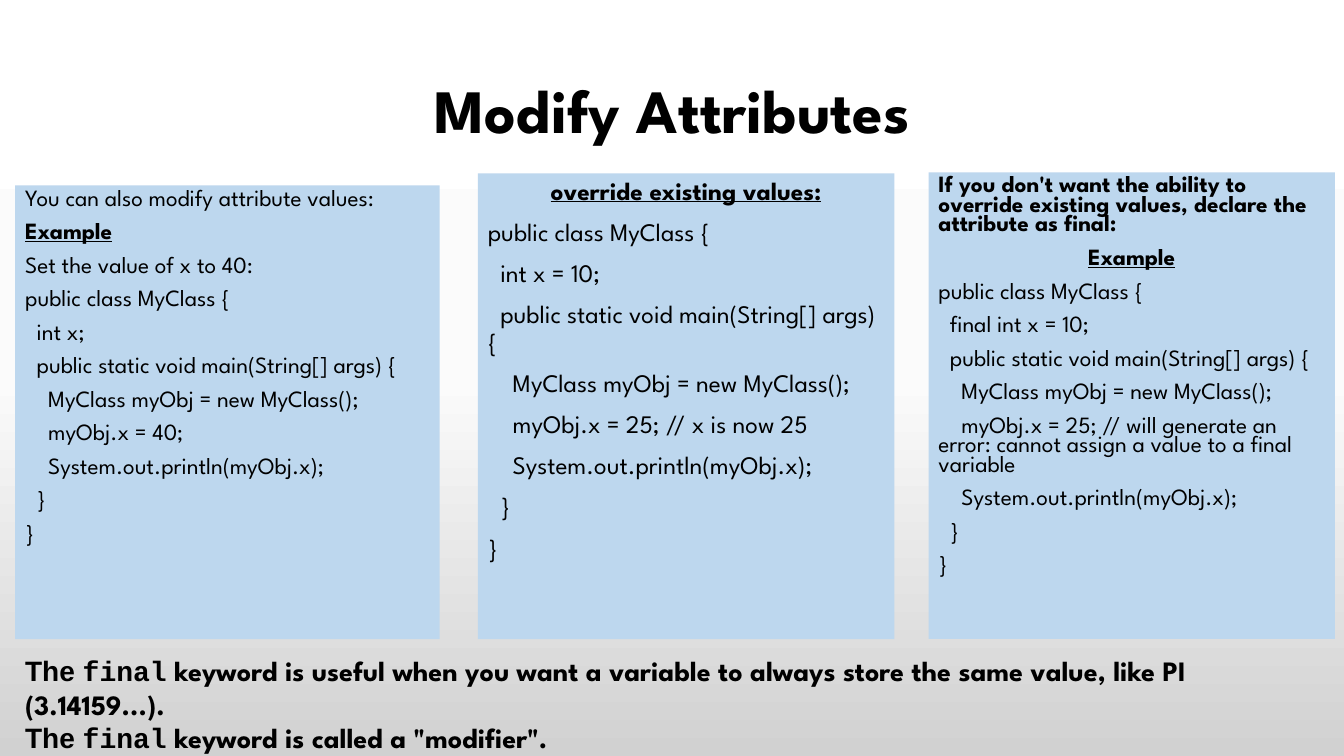
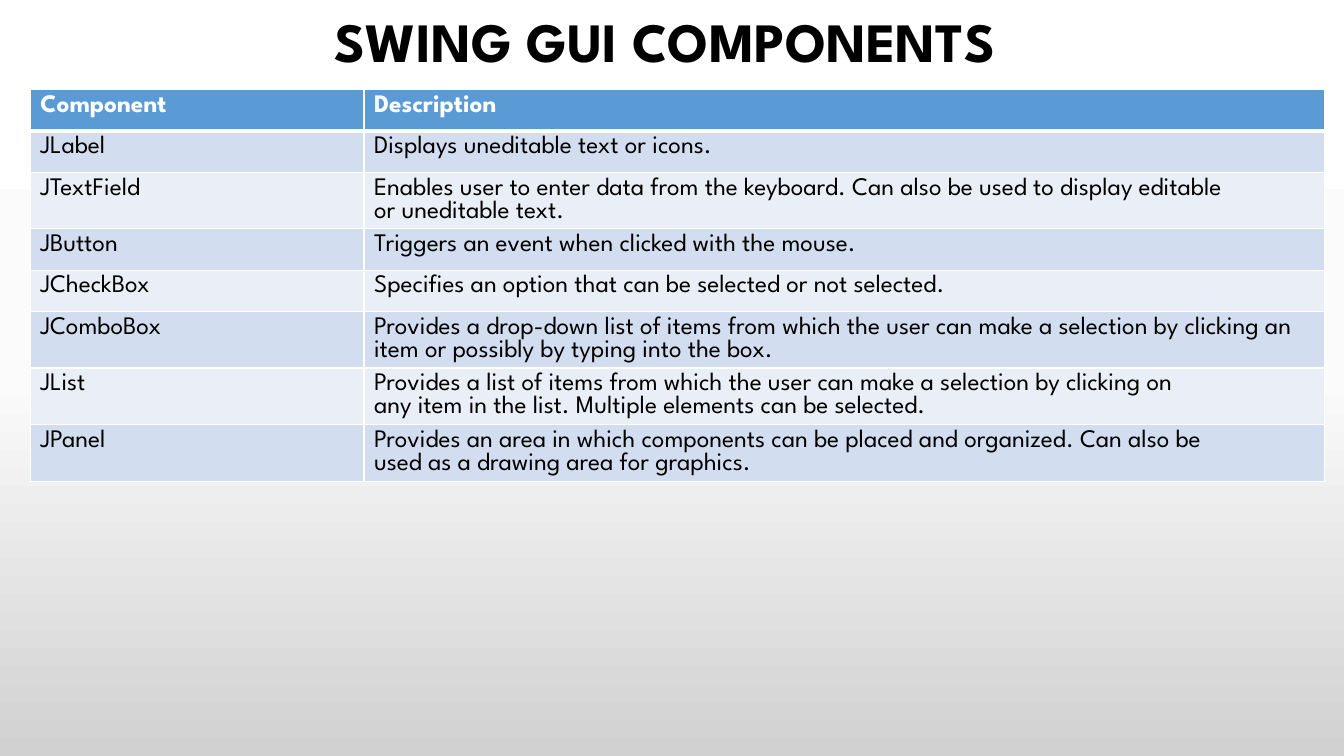
import copy

import lxml.etree
import pptx
import pptx.dml.color
import pptx.enum.text
import pptx.oxml.ns
import pptx.util

FACE = "League Spartan"
BLACK = "000000"
WHITE = "FFFFFF"
PANEL = "BDD7EE"
HEAD = "5B9BD5"
BANDS = ["D2DEEF", "EAEFF7"]
STOPS = [(0, WHITE), (0.5, "FBFBFB"), (1, "D1D1D1")]
FLOOR = 634
CENTER = pptx.enum.text.PP_ALIGN.CENTER
MIDDLE = pptx.enum.text.MSO_ANCHOR.MIDDLE
FIT = pptx.enum.text.MSO_AUTO_SIZE

COMPONENTS = [
    ("Component", "Description"),
    ("JLabel", "Displays uneditable text or icons."),
    ("JTextField", "Enables user to enter data from the keyboard. Can also be used to display editable\n"
                   "or uneditable text."),
    ("JButton", "Triggers an event when clicked with the mouse."),
    ("JCheckBox", "Specifies an option that can be selected or not selected."),
    ("JComboBox", "Provides a drop-down list of items from which the user can make a selection "
                  "by clicking an item or possibly by typing into the box."),
    ("JList", "Provides a list of items from which the user can make a selection by clicking on\n"
              "any item in the list. Multiple elements can be selected."),
    ("JPanel", "Provides an area in which components can be placed and organized. Can also be\n"
               "used as a drawing area for graphics."),
]


def px(num):
    return pptx.util.Emu(num * 9144)


def hue(code):
    return pptx.dml.color.RGBColor.from_string(code)


def tag(name):
    return pptx.oxml.ns.qn(name)


def paint(fill, code):
    fill.solid()
    fill.fore_color.rgb = hue(code)


def style(font, size, code=BLACK, bold=False, face=FACE):
    font.name = face
    font.size = pptx.util.Pt(size)
    font.bold = bold
    font.color.rgb = hue(code)


def place(shape, left, top, width, height):
    shape.left, shape.top = px(left), px(top)
    shape.width, shape.height = px(width), px(height)


def backdrop(master):
    fill = master.background.fill
    fill.gradient()
    fill.gradient_angle = 270
    stops = master.element.find(".//" + tag("a:gsLst"))
    stops.append(copy.deepcopy(stops[0]))
    for stop, (spot, code) in zip(fill.gradient_stops, STOPS):
        stop.position = spot
        stop.color.rgb = hue(code)


def title(slide, text, size, top, height):
    shape = slide.shapes.title
    place(shape, 92, top, 1150, height)
    frame = shape.text_frame
    frame.text = text
    frame.auto_size = FIT.NONE
    frame.vertical_anchor = MIDDLE
    para = frame.paragraphs[0]
    para.alignment = CENTER
    para.line_spacing = 0.9
    style(para.font, size, bold=True)


def code(field, change):
    return [
        "public class MyClass {",
        f"  {field}",
        "  public static void main(String[] args) {",
        "    MyClass myObj = new MyClass();",
        f"    {change}",
        "    System.out.println(myObj.x);",
        "  }",
        "}",
    ]


def panel(shape, left, top, width, size, pitch, heads, lines):
    place(shape, left, top, width, FLOOR - top)
    paint(shape.fill, PANEL)
    frame = shape.text_frame
    frame.word_wrap = True
    frame.auto_size = FIT.NONE
    rows = heads + [(line, "") for line in lines]
    frame.text = "\n".join(text for text, marks in rows)
    for pos, (para, (text, marks)) in enumerate(zip(frame.paragraphs, rows)):
        props = para._p.get_or_add_pPr()
        props.set("marL", "0")
        props.set("indent", "0")
        lxml.etree.SubElement(props, tag("a:buNone"))
        para.line_spacing = pitch
        para.space_before = pptx.util.Pt(10 if pos else 0)
        if "c" in marks:
            para.alignment = CENTER
        style(para.font, size, bold="b" in marks)
        para.font.underline = "u" in marks


def notes(slide, tails):
    box = slide.shapes.add_textbox(px(15), px(660), px(1309), px(77))
    frame = box.text_frame
    frame.word_wrap = True
    frame.auto_size = FIT.SHAPE_TO_FIT_TEXT
    frame.vertical_anchor = MIDDLE
    frame.text = "\n".join("The " for tail in tails)
    for para, tail in zip(frame.paragraphs, tails):
        para.add_run().text = "final"
        para.add_run().text = tail
        for run, face in zip(para.runs, ["Arial", "Courier New", FACE]):
            style(run.font, 20, bold=True, face=face)


def border(cell, side, width):
    props = cell._tc.get_or_add_tcPr()
    line = lxml.etree.SubElement(props, tag("a:ln" + side), w=str(pptx.util.Pt(width)))
    fill = lxml.etree.SubElement(line, tag("a:solidFill"))
    lxml.etree.SubElement(fill, tag("a:srgbClr"), val=WHITE)


def grid(slide, rows, left, top, widths, height):
    frame = slide.shapes.add_table(len(rows), len(widths), px(left), px(top),
                                   px(sum(widths)), px(height * len(rows)))
    table = frame.table
    table.horz_banding = False
    for col, width in zip(table.columns, widths):
        col.width = px(width)
    for row, texts in enumerate(rows):
        head = row == 0
        for col, text in enumerate(texts):
            cell = table.cell(row, col)
            cell.text = text
            for side in "LRTB":
                thick = (side, row) in [("B", 0), ("T", 1)]
                border(cell, side, 3 if thick else 1)
            paint(cell.fill, HEAD if head else BANDS[(row - 1) % 2])
            for para in cell.text_frame.paragraphs:
                style(para.font, 18, WHITE if head else BLACK, head)


def modify(deck):
    slide = deck.slides.add_slide(deck.slide_layouts[1])
    title(slide, "Modify Attributes", 44, 40, 145)
    panel(slide.placeholders[1], 15, 184, 421, 16.6, 0.7,
          [("You can also modify attribute values:", ""), ("Example", "bu"),
           ("Set the value of x to 40:", "")],
          code("int x;", "myObj.x = 40;"))
    boxes = [slide.shapes.add_textbox(0, 0, 0, 0) for turn in range(2)]
    panel(boxes[0], 474, 172, 413, 18, 0.9,
          [("override existing values:", "bcu")],
          code("int x = 10;", "myObj.x = 25; // x is now 25"))
    panel(boxes[1], 921, 171, 403, 16.6, 0.7,
          [("If you don't want the ability to override existing values, "
            "declare the attribute as final:", "b"), ("Example", "bcu")],
          code("final int x = 10;", "myObj.x = 25; // will generate an error: "
               "cannot assign a value to a final variable"))
    notes(slide, [" keyword is useful when you want a variable to always store "
                  "the same value, like PI (3.14159...).",
                  ' keyword is called a "modifier".'])


def swing(deck):
    slide = deck.slides.add_slide(deck.slide_layouts[5])
    title(slide, "SWING GUI COMPONENTS ", 39.6, 27, 35)
    grid(slide, COMPONENTS, 30, 89, [331, 953], 41)


def main():
    deck = pptx.Presentation()
    deck.slide_width, deck.slide_height = px(1333), px(750)
    backdrop(deck.slide_master)
    modify(deck)
    swing(deck)
    deck.save("out.pptx")


if __name__ == "__main__":
    main()
